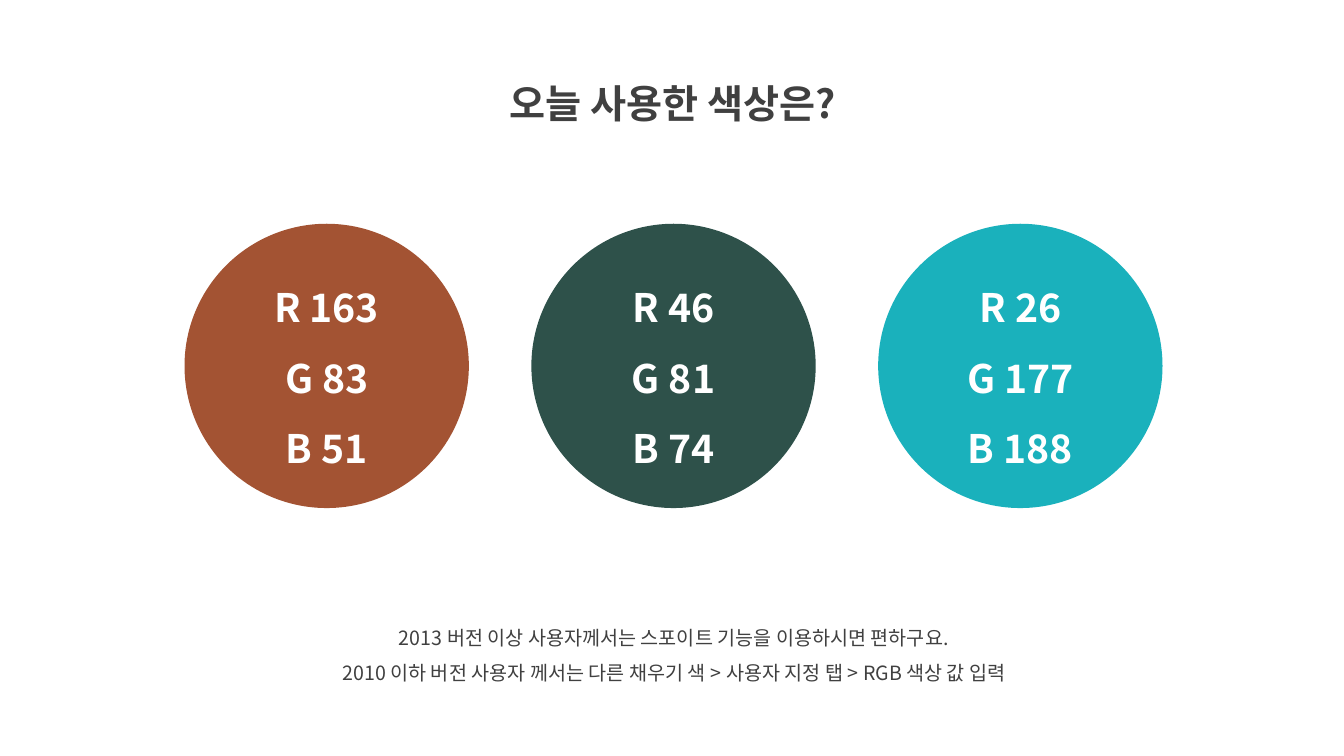
from lxml.etree import SubElement
from pptx import Presentation
from pptx.dml.color import RGBColor
from pptx.enum.shapes import MSO_SHAPE
from pptx.enum.text import MSO_ANCHOR, MSO_AUTO_SIZE, PP_ALIGN
from pptx.oxml.ns import qn
from pptx.util import Inches, Pt

FONT = "Noto Sans CJK KR"
CHARCOAL = RGBColor(64, 64, 64)
WHITE = RGBColor(255, 255, 255)
BROWN = RGBColor(163, 83, 51)
GREEN = RGBColor(46, 81, 74)
TURQUOISE = RGBColor(26, 177, 188)


def place(box, left, top, width, height):
    bounds = {"left": left, "top": top, "width": width, "height": height}
    for name, value in bounds.items():
        setattr(box, name, Inches(value))


def write(box, lines, size, color, bold, anchor):
    frame = box.text_frame
    frame_format = {"word_wrap": True, "auto_size": MSO_AUTO_SIZE.NONE, "vertical_anchor": anchor}
    for name, value in frame_format.items():
        setattr(frame, name, value)
    frame.text = "\n".join(lines)
    for para in frame.paragraphs:
        para.alignment = PP_ALIGN.CENTER
        para.line_spacing = 1.5
        for span in para.runs:
            for name, value in {"name": FONT, "size": Pt(size), "bold": bold}.items():
                setattr(span.font, name, value)
            span.font.color.rgb = color
            SubElement(span.font._element, qn("a:ea"), typeface=FONT)


deck = Presentation()
deck.slide_width = Inches(13.33)
deck.slide_height = Inches(7.5)
page = deck.slides.add_slide(deck.slide_layouts.get_by_name("Title Only"))

title = page.shapes.title
place(title, 4.36, 0.5, 4.63, 0.72)
write(title, ["오늘 사용한 색상은?"], 28, CHARCOAL, True, MSO_ANCHOR.TOP)

guide = page.shapes.add_textbox(0, 0, 0, 0)
place(guide, 2.69, 6.04, 7.99, 0.81)
guide_lines = [
    "2013 버전 이상 사용자께서는 스포이트 기능을 이용하시면 편하구요.",
    "2010 이하 버전 사용자 께서는 다른 채우기 색 > 사용자 지정 탭 > RGB 색상 값 입력",
]
write(guide, guide_lines, 14, CHARCOAL, False, MSO_ANCHOR.TOP)

first_left, row_top, diameter, column_step = 1.83, 2.22, 2.82, 3.44
for column, color in enumerate([BROWN, GREEN, TURQUOISE]):
    circle = page.shapes.add_shape(MSO_SHAPE.OVAL, 0, 0, 0, 0)
    place(circle, first_left + column * column_step, row_top, diameter, diameter)
    circle.shadow.inherit = False
    circle.fill.solid()
    circle.fill.fore_color.rgb = color
    circle.line.fill.background()
    channels = [f"{letter} {value}" for letter, value in zip("RGB", color)]
    write(circle, channels, 28, WHITE, True, MSO_ANCHOR.MIDDLE)

deck.save("out.pptx")
